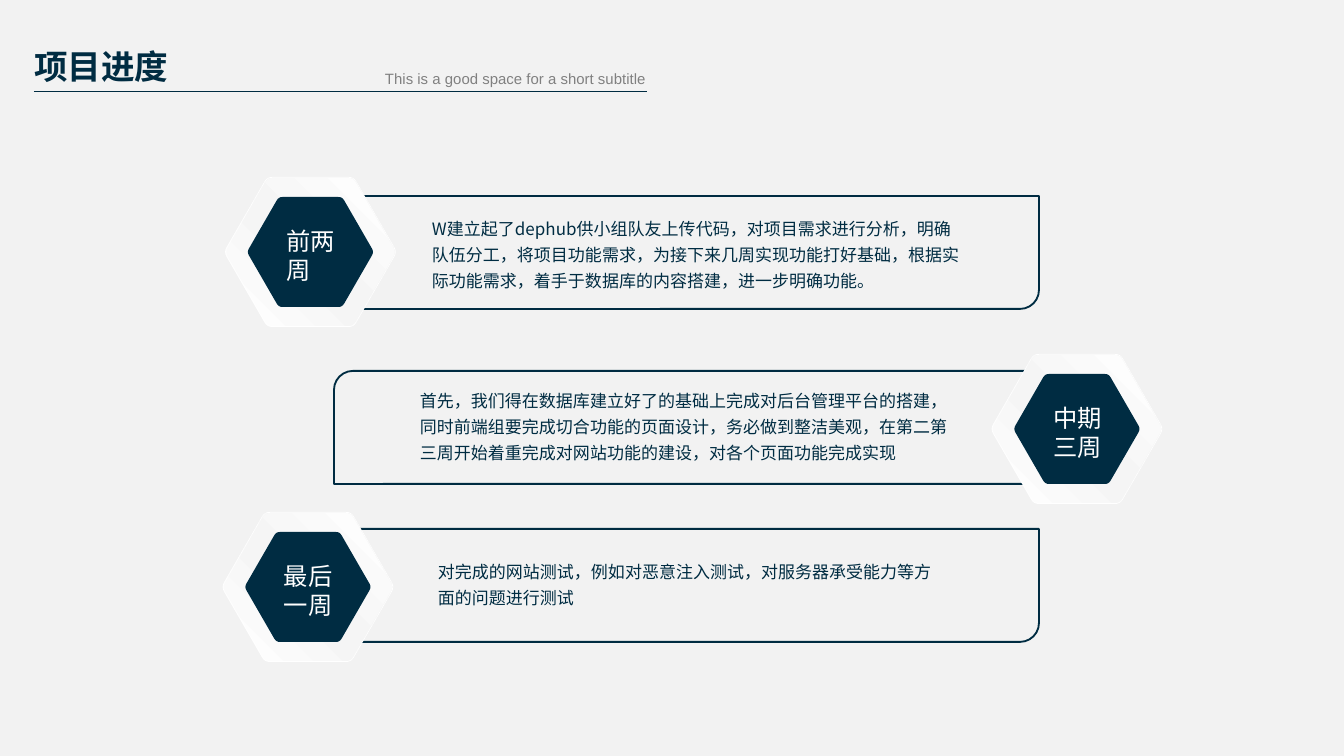
import copy
import math

from lxml import etree
from pptx import Presentation
from pptx.dml.color import RGBColor
from pptx.enum import shapes
from pptx.oxml.ns import qn
from pptx.util import Pt

PX = 914400 / 134.4  # EMU in one px

THEME = {
    "navy": RGBColor.from_string("002C42"),
    "white": RGBColor.from_string("FFFFFF"),
    "pearl": RGBColor.from_string("F5F5F5"),
    "paper": RGBColor.from_string("F2F2F2"),
    "grey": RGBColor.from_string("808080"),
    "cjk": "Noto Sans CJK SC",
    "latin": "Arial",
    "title": 18,
    "label": 13,
    "subtitle": 8,
    "body": 9.1,
}


def add_text(box, words, size, color, font=THEME["cjk"], margins=(13, 7, 13, 7), wrap=True):
    """Add a text box; box and margins are left, top, width/right, height/bottom in px."""
    frame = slide.shapes.add_textbox(*[round(v * PX) for v in box]).text_frame
    frame.word_wrap = wrap
    (frame.margin_left, frame.margin_top,
     frame.margin_right, frame.margin_bottom) = [round(v * PX) for v in margins]
    frame.text = words
    paragraph = frame.paragraphs[0]
    run = paragraph.runs[0]
    run.font.size = Pt(THEME[size])
    run.font.color.rgb = THEME[color]
    run.font.name = font
    east_asian = etree.SubElement(run.font._element, qn("a:ea"))
    east_asian.set("typeface", font)
    return paragraph


def add_hexagon(center_x, center_y, height):
    """Add a regular hexagon with flat top and softly rounded corners."""
    radius = height / math.sqrt(3)
    cut = 0.06 * radius
    points = []
    for corner in range(6):
        angle = math.radians(60 * corner)
        x = center_x + radius * math.cos(angle)
        y = center_y + radius * math.sin(angle)
        before, after = angle - math.radians(120), angle + math.radians(120)
        for t in (0, 0.25, 0.5, 0.75, 1):
            a, b = cut * (1 - t) ** 2, cut * t ** 2
            points.append(((x + a * math.cos(before) + b * math.cos(after)) * PX,
                           (y + a * math.sin(before) + b * math.sin(after)) * PX))
    builder = slide.shapes.build_freeform(*points[0], scale=1)
    builder.add_line_segments(points[1:], close=True)
    hexagon = builder.convert_to_shape()
    hexagon.shadow.inherit = False
    hexagon.line.fill.background()
    return hexagon


deck = Presentation()
deck.slide_width, deck.slide_height = round(1344 * PX), round(756 * PX)
slide = deck.slides.add_slide(deck.slide_layouts[6])
slide.background.fill.solid()
slide.background.fill.fore_color.rgb = THEME["paper"]

# Stages: card corner, hexagon centre, label width and words, body box and words
stages = [
    ((332, 196), (310.5, 252), 97, "前两周", (417, 204, 558, 95),
     "W建立起了dephub供小组队友上传代码，对项目需求进行分析，明确队伍分工，将项目功能需求，"
     "为接下来几周实现功能打好基础，根据实际功能需求，着手于数据库的内容搭建，进一步明确功能。"),
    ((334, 371), (1077, 429), 79, "中期三周", (405, 376, 563, 124),
     "首先，我们得在数据库建立好了的基础上完成对后台管理平台的搭建，同时前端组要完成切合功能的页面设计，"
     "务必做到整洁美观，在第二第三周开始着重完成对网站功能的建设，对各个页面功能完成实现"),
    ((332, 529), (308, 587), 78, "最后一周", (423, 547, 525, 95),
     "对完成的网站测试，例如对恶意注入测试，对服务器承受能力等方面的问题进行测试"),
]

for corner, (center_x, center_y), label_width, period, body_box, tasks in stages:
    # Outlined card
    card = slide.shapes.add_shape(shapes.MSO_SHAPE.ROUND_2_DIAG_RECTANGLE,
                                  *[round(v * PX) for v in (*corner, 707, 113)])
    card.shadow.inherit = False
    card.fill.background()
    card.line.color.rgb = THEME["navy"]
    card.line.width = Pt(1)

    # Hexagon badge: white rim, pearl bevel, navy core
    for height, color in ((150, "white"), (148, "pearl"), (110, "navy")):
        layer = add_hexagon(center_x, center_y, height)
        if color != "pearl":
            layer.fill.solid()
            layer.fill.fore_color.rgb = THEME[color]
            continue
        layer.fill.gradient()
        layer.fill.gradient_angle = 45
        stop_list = layer._element.spPr.find(".//" + qn("a:gsLst"))
        stop_list.append(copy.deepcopy(stop_list[0]))
        ramp = ((0, "white"), (0.47, "pearl"), (1, "white"))
        for stop, (position, shade) in zip(layer.fill.gradient_stops, ramp):
            stop.position = position
            stop.color.rgb = THEME[shade]

    add_text((center_x - 37, center_y - 33, label_width, 73), period, "label", "white")
    body = add_text(body_box, tasks, "body", "navy", margins=(15, 8, 15, 8))
    body.line_spacing = 1.3

# Heading with rule and subtitle
rule = slide.shapes.add_connector(shapes.MSO_CONNECTOR.STRAIGHT,
                                  *[round(v * PX) for v in (34, 92, 647, 92)])
rule.line.color.rgb = THEME["navy"]
rule.line.width = Pt(0.5)
etree.SubElement(rule._element.spPr, qn("a:effectLst"))

heading = add_text((34, 39, 351, 54), "项目进度", "title", "navy",
                   margins=(0, 7, 13, 7), wrap=False)
heading.runs[0].font.bold = True
add_text((385, 63, 275, 31), "This is a good space for a short subtitle", "subtitle", "grey",
         font=THEME["latin"], margins=(0, 7, 13, 7), wrap=False)

deck.save("out.pptx")
